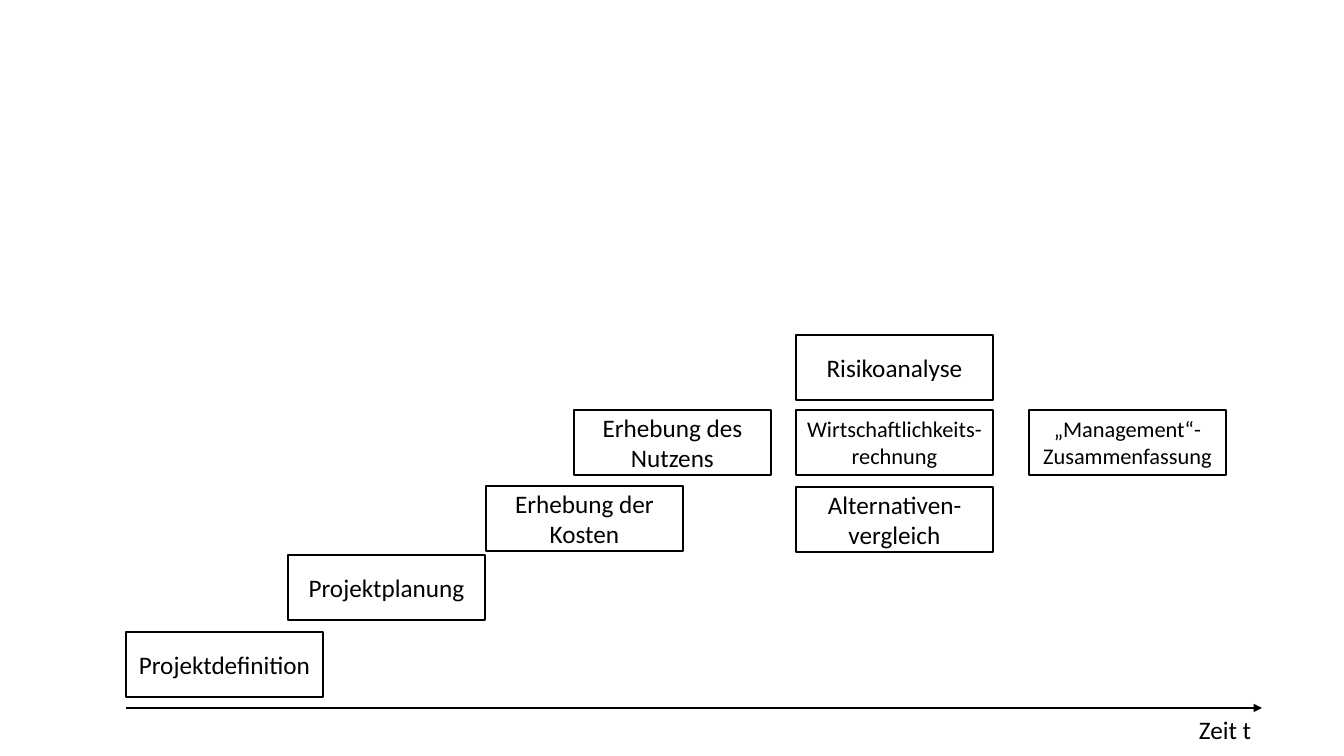
import pptx
import pptx.util
import pptx.dml.color
import pptx.enum.shapes
import pptx.enum.text
import pptx.oxml
import pptx.oxml.ns

PHASES = [
    ("Projektdefinition", 126, 632, "body"),
    ("Projektplanung", 288, 555, "body"),
    ("Erhebung der Kosten", 486, 486, "body"),
    ("Erhebung des Nutzens", 574, 410, "body"),
    ("Wirtschaftlichkeits-rechnung", 796, 410, "small"),
    ("Risikoanalyse", 796, 335, "body"),
    ("Alternativen-vergleich", 796, 487, "body"),
    ("„Management“-\nZusammenfassung", 1029, 410, "small"),
]
PHASE_SIZE = (197, 65)
TIME_AXIS = (126, 708, 1262, 708)
TIME_LABEL = ("Zeit t", 1189, 709, 145, 40)

THEME = {
    "font": "Calibri",
    "ink": pptx.dml.color.RGBColor(0, 0, 0),
    "paper": pptx.dml.color.RGBColor(255, 255, 255),
    "body": pptx.util.Pt(18),
    "small": pptx.util.Pt(16),
    "border": pptx.util.Pt(1),
    "axis": pptx.util.Pt(1.5),
}


def px(*lengths):
    return [pptx.util.Inches(length / 100.8) for length in lengths]


def write(frame, wording, size, alignment):
    frame.word_wrap = True
    frame.text = wording
    for paragraph in frame.paragraphs:
        paragraph.alignment = alignment
        for run in paragraph.runs:
            run.font.name = THEME["font"]
            run.font.size = THEME[size]
            run.font.color.rgb = THEME["ink"]


def add_time_axis(slide):
    axis = slide.shapes.add_connector(
        pptx.enum.shapes.MSO_CONNECTOR.STRAIGHT, *px(*TIME_AXIS))
    axis.line.color.rgb = THEME["ink"]
    axis.line.width = THEME["axis"]
    arrowhead = pptx.oxml.parse_xml(
        f'<a:tailEnd {pptx.oxml.ns.nsdecls("a")} type="triangle"/>')
    axis.line._get_or_add_ln().append(arrowhead)
    axis._element.spPr.append(
        pptx.oxml.parse_xml(f'<a:effectLst {pptx.oxml.ns.nsdecls("a")}/>'))

    wording, *place = TIME_LABEL
    label = slide.shapes.add_textbox(*px(*place))
    write(label.text_frame, wording, "body", pptx.enum.text.PP_ALIGN.LEFT)
    label.text_frame.auto_size = pptx.enum.text.MSO_AUTO_SIZE.SHAPE_TO_FIT_TEXT


def add_phase(slide, wording, left, top, size):
    phase = slide.shapes.add_shape(
        pptx.enum.shapes.MSO_SHAPE.FLOWCHART_PROCESS,
        *px(left, top, *PHASE_SIZE))
    phase.shadow.inherit = False
    phase.fill.solid()
    phase.fill.fore_color.rgb = THEME["paper"]
    phase.line.color.rgb = THEME["ink"]
    phase.line.width = THEME["border"]
    phase.text_frame.vertical_anchor = pptx.enum.text.MSO_ANCHOR.MIDDLE
    write(phase.text_frame, wording, size, pptx.enum.text.PP_ALIGN.CENTER)


deck = pptx.Presentation()
deck.slide_width, deck.slide_height = px(1344, 756)
schedule = deck.slides.add_slide(deck.slide_layouts[6])
add_time_axis(schedule)
for phase_entry in PHASES:
    add_phase(schedule, *phase_entry)
deck.save("out.pptx")
